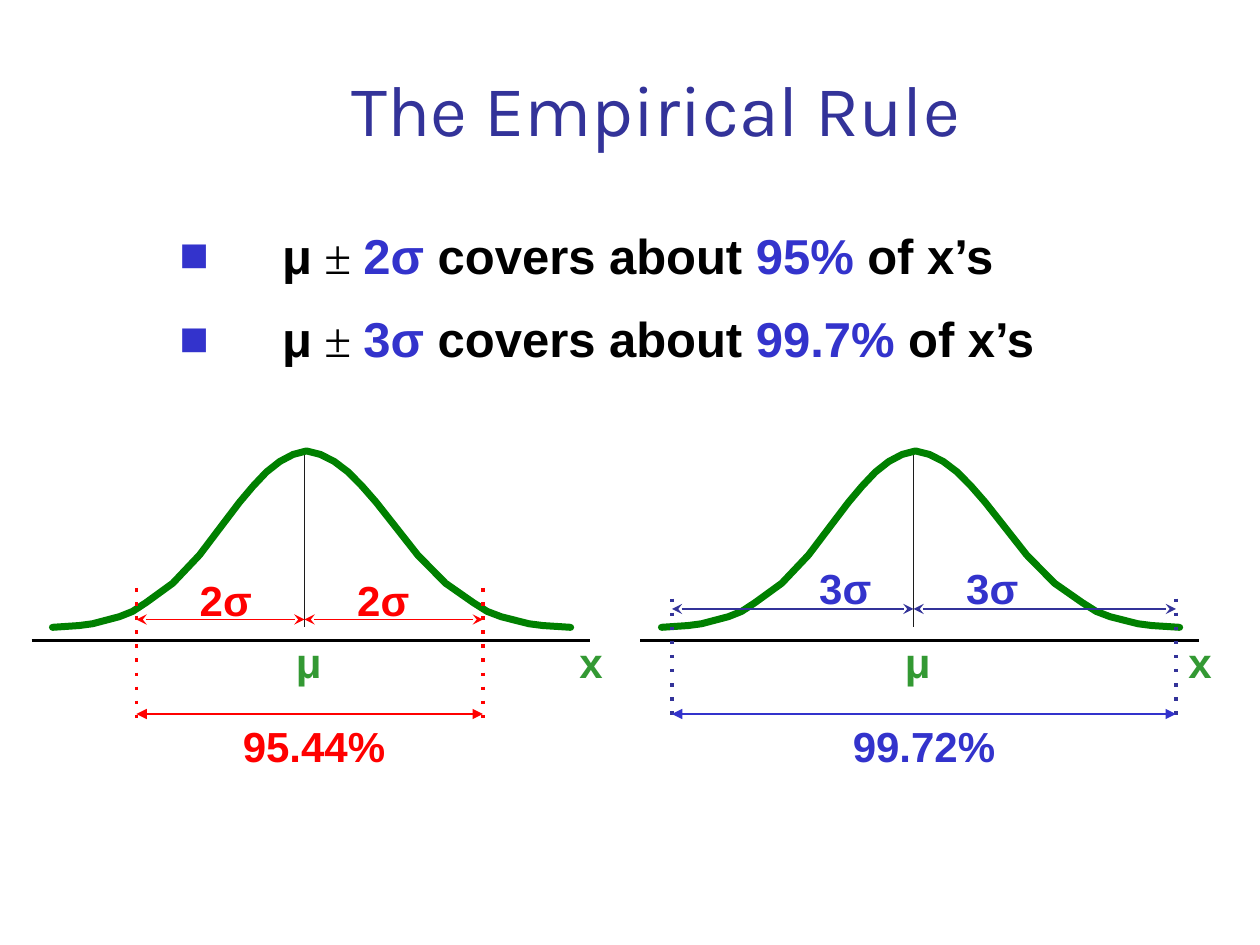
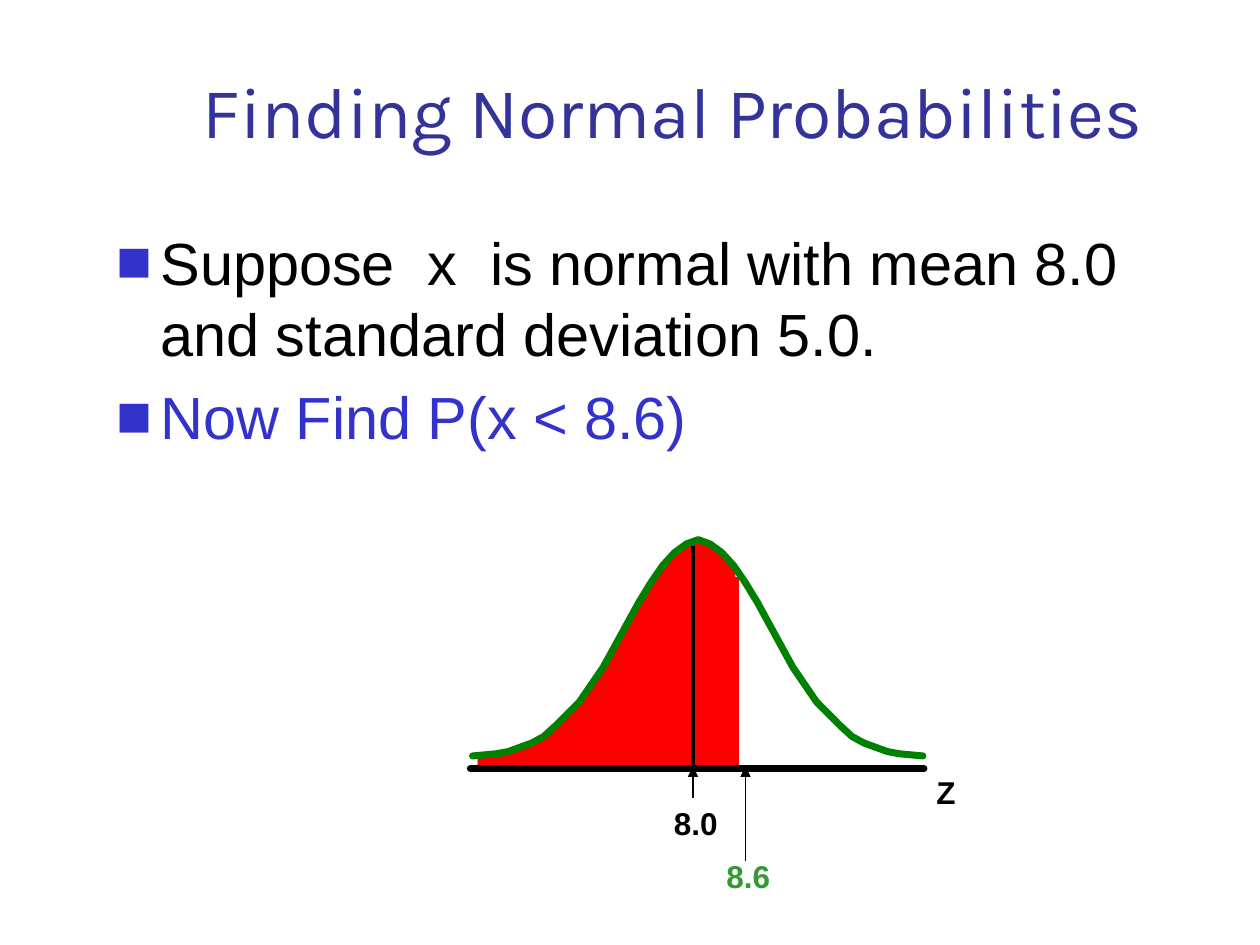
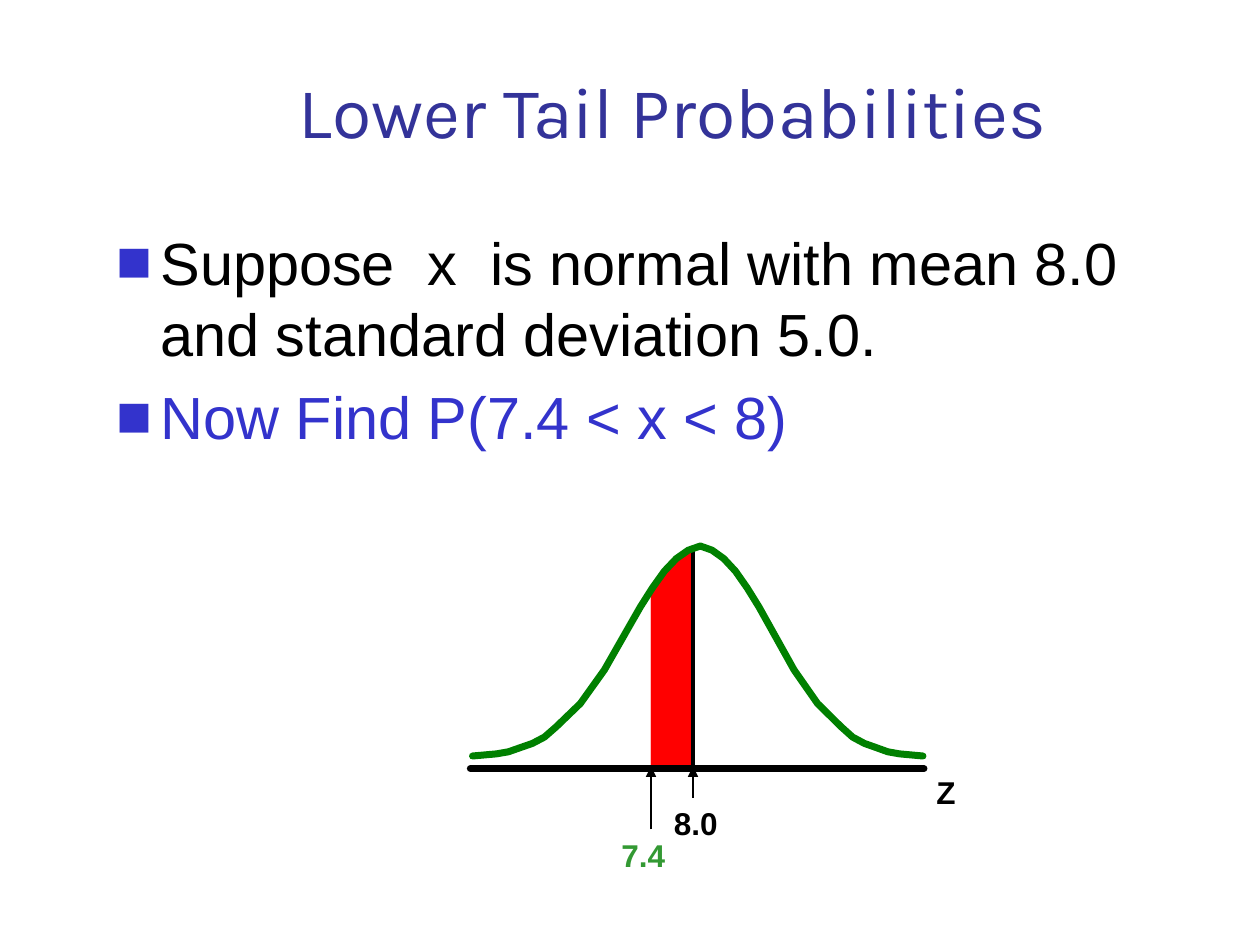
from pptx import Presentation
from pptx.dml.color import RGBColor
from pptx.enum.shapes import MSO_CONNECTOR
from pptx.enum.text import MSO_ANCHOR, PP_ALIGN
from pptx.oxml.xmlchemy import OxmlElement
from pptx.util import Inches, Pt

LEFT, CENTER = PP_ALIGN.LEFT, PP_ALIGN.CENTER
TOP, BOTTOM = MSO_ANCHOR.TOP, MSO_ANCHOR.BOTTOM
STRAIGHT = MSO_CONNECTOR.STRAIGHT
ink = RGBColor.from_string

NAVY, BLUE, RED = "333399", "3333CC", "FF0000"
BLACK, GREEN, CURVE, GRAY = "000000", "339933", "008000", "1C1C1C"
UNIT = Inches(1) // 12  # the slide is a grid of 120 columns by 90 rows

# One half of the bell: steps from the edge inward, heights as shares of the peak
STEPS = [0, 2, 3, 4, 5, 6, 7, 9, 11, 13, 14, 15, 16, 17, 18, 19]
RISE = [0, .01, .02, .04, .06, .09, .14, .25, .41, .61, .71, .8, .88, .94, .98, 1]


def write(slide, box, paras, align=LEFT, anchor=TOP, indent=0, gap=0,
          spacing=None, wrap=False, **style):
    """Add a text box; each paragraph is a list of (text, colour, changes)."""
    frame = slide.shapes.add_textbox(*(int(n * UNIT) for n in box)).text_frame
    frame.word_wrap, frame.vertical_anchor = wrap, anchor
    for i, runs in enumerate(paras):
        para = frame.paragraphs[0] if i == 0 else frame.add_paragraph()
        para.alignment, para.line_spacing = align, spacing
        if i:
            para.space_before = Pt(gap)
        if indent:
            props = para._p.get_or_add_pPr()
            props.set("marL", str(int(indent * UNIT)))
            props.set("indent", str(-int(indent * UNIT)))
            tint = OxmlElement("a:buClr")
            rgb = OxmlElement("a:srgbClr")
            rgb.set("val", BLUE)
            tint.append(rgb)
            props.append(tint)
            for tag, key, value in (("buSzPct", "val", "100000"),
                                    ("buFont", "typeface", "Arial"),
                                    ("buChar", "char", "■")):
                node = OxmlElement("a:" + tag)
                node.set(key, value)
                props.append(node)
        for text, color, *more in runs:
            run = para.add_run()
            run.text = text
            run.font.color.rgb = ink(color)
            look = {"name": "Arial", **style, **(more[0] if more else {})}
            for key, value in look.items():
                setattr(run.font, key, value)


def draw(slide, points, color, width, dash=None, head=None, tail=None, fill=None):
    """Draw two points as a connector, more as a freeform."""
    spots = [(int(x * UNIT), int(y * UNIT)) for x, y in points]
    if len(spots) == 2:
        shape = slide.shapes.add_connector(STRAIGHT, *spots[0], *spots[1])
        shape._element.spPr.append(OxmlElement("a:effectLst"))
    else:
        pen = slide.shapes.build_freeform(*spots[0])
        pen.add_line_segments(spots[1:], close=bool(fill))
        shape = pen.convert_to_shape()
        shape.shadow.inherit = False
        shape.fill.background()
        if fill:
            shape.fill.solid()
            shape.fill.fore_color.rgb = ink(fill)
    shape.line.color.rgb, shape.line.width = ink(color), Pt(width)
    line = shape.line._get_or_add_ln()
    if width == 4:
        line.set("cap", "rnd")
    for tag, key, value in (("prstDash", "val", dash), ("round", None, True),
                            ("headEnd", "type", head), ("tailEnd", "type", tail)):
        if value:
            node = OxmlElement("a:" + tag)
            if key:
                node.set(key, value)
            line.append(node)


deck = Presentation()
deck.slide_width, deck.slide_height = 120 * UNIT, 90 * UNIT
rule, find, lower = [deck.slides.add_slide(deck.slide_layouts[6]) for _ in range(3)]

# Titles
for slide, text, left, width, spacing in (
        (rule, "The Empirical Rule", 14, 97, .9),
        (find, "Finding Normal Probabilities", 13, 102.2, None),
        (lower, "Lower Tail Probabilities", 13, 102.2, None)):
    write(slide, (left, 5.1, width, 10), [[(text, NAVY)]], CENTER, BOTTOM,
          spacing=spacing, wrap=True, name="Karla", size=Pt(41))

# Bullets
serif = {"name": "Times New Roman", "bold": False}
facts = [[("μ", BLACK), (" ± ", BLACK, serif), (f"{n}σ ", BLUE),
          ("covers about ", BLACK), (share, BLUE), (" of x’s", BLACK)]
         for n, share in ((2, "95%"), (3, "99.7%"))]
write(rule, (15.9, 20.9, 91, 17), facts, indent=9.8, gap=14, wrap=True,
      size=Pt(28), bold=True)

for slide, goal in ((find, "P(x < 8.6)"), (lower, "P(7.4 < x < 8)")):
    task = "Suppose  x  is normal with mean 8.0 and standard deviation 5.0."
    write(slide, (9.9, 20.9, 106, 54), [[(task, BLACK)], [("Now Find " + goal, BLUE)]],
          indent=4.2, gap=6.8, wrap=True, size=Pt(34))

# Bells: outline, shaded spans, mean line and axis
for slide, start, peak, end, base, height, spans, mean, axis in (
        (rule, 5, 29.2, 54.35, 59.75, 16.8, [],
         (29, 43, 59.75, GRAY, 1), (3, 56.15, 61, 1.5)),
        (rule, 63, 87.2, 112.35, 59.75, 16.8, [],
         (87, 43, 59.75, GRAY, 1), (61, 114.15, 61, 1.5)),
        (find, 45, 66.5, 87.9, 72, 20.6, [(45.5, 66), (66, 70)],
         (66, 52, 73, BLACK, 2.5), (44.8, 88, 73.2, 4)),
        (lower, 45, 66.7, 87.9, 72, 20, [(62, 66)],
         (66, 52, 73, BLACK, 2.5), (44.8, 88, 73.2, 4))):
    up, down = [[(edge + (peak - edge) * s / 19, base - height * r)
                 for s, r in zip(STEPS, RISE)] for edge in (start, end)]
    bell = up + down[-2::-1]
    for span in spans:
        area = [p for p in bell if span[0] < p[0] < span[1]]
        for edge in span:
            for (x1, y1), (x2, y2) in zip(bell, bell[1:]):
                if x1 <= edge < x2:
                    area.append((edge, y1 + (y2 - y1) * (edge - x1) / (x2 - x1)))
        area.sort()
        draw(slide, area + [(span[1], 73), (span[0], 73)], RED, .25, fill=RED)
    if slide is find:
        draw(slide, [(70, 55), (70, 73)], RED, 5)
    x, top, foot, color, width = mean
    draw(slide, [(x, top), (x, foot)], color, width)
    draw(slide, bell, CURVE, 4)
    left, right, y, width = axis
    draw(slide, [(left, y), (right, y)], BLACK, width)

# Spans of the empirical rule
big = {"size": Pt(24), "bold": True}
for shift, low, mid, high, top, y, line, color, sign, marks, mark, share, at in (
        (0, 13, 29, 46, 56, 59, RED, RED, "2σ", (17.5, 32.5), 54.1, "95.44%", 21.9),
        (58, 64, 87, 112, 57, 58, NAVY, BLUE, "3σ", (76.5, 90.5), 53, "99.72%", 80)):
    for x in (low, high):
        draw(rule, [(x, top), (x, 69)], line, 2, dash="dot")
        draw(rule, [(min(x, mid), y), (max(x, mid), y)], line, 1,
             head="stealth", tail="stealth")
    draw(rule, [(low, 68), (high, 68)], color, 1.5, head="triangle", tail="triangle")
    for x in marks:
        write(rule, (x, mark, 8, 6), [[(sign, color)]], CENTER, **big)
    write(rule, (at, 68, 16, 6), [[(share, color)]], CENTER, **big)
    write(rule, (27 + shift, 60, 5, 6), [[("μ", GREEN)]], **big)
    write(rule, (54 + shift, 60, 4.5, 6), [[("x", GREEN)]], **big)

# Marked values on the axis
small = {"size": Pt(18), "bold": True}
for slide, value, x, foot, left, top in ((find, "8.6", 71, 82, 68, 81),
                                         (lower, "7.4", 62, 79, 58, 79)):
    write(slide, (88, 73, 5, 4.8), [[("Z", BLACK)]], **small)
    for text, color, spot, end, box in ((value, GREEN, x, foot, (left, top)),
                                        ("8.0", BLACK, 66, 76, (63, 76))):
        write(slide, (*box, 6.6, 4.8), [[(text, color)]], **small)
        draw(slide, [(spot, end), (spot, 73)], BLACK, 1, tail="triangle")

deck.save("out.pptx")
